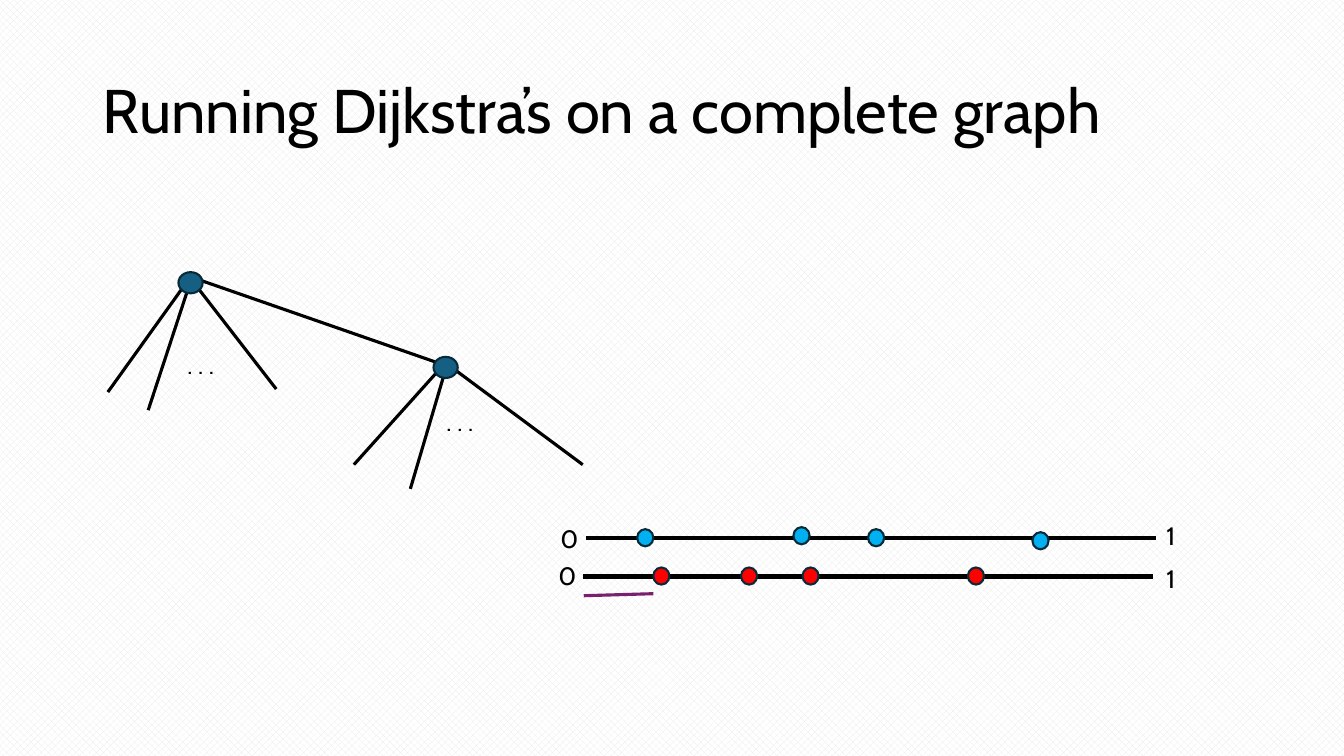
"""Build the slide on running Dijkstra's algorithm on a complete graph."""
from lxml.etree import SubElement
from pptx import Presentation
from pptx.dml.color import RGBColor
from pptx.enum.dml import MSO_PATTERN
from pptx.enum.shapes import MSO_CONNECTOR, MSO_SHAPE
from pptx.enum.text import MSO_ANCHOR, MSO_AUTO_SIZE, PP_ALIGN
from pptx.oxml.ns import qn
from pptx.util import Inches, Pt

BLACK = RGBColor(0x00, 0x00, 0x00)
WHITE = RGBColor(0xFF, 0xFF, 0xFF)
PALE_GREY = RGBColor(0xE8, 0xE8, 0xE8)
TEAL = RGBColor(0x15, 0x60, 0x82)
DARK_TEAL = RGBColor(0x09, 0x2A, 0x39)
RED = RGBColor(0xFF, 0x00, 0x00)
SKY = RGBColor(0x00, 0xB0, 0xF0)
PURPLE = RGBColor(0x78, 0x20, 0x6E)

LABEL_FRAME = {"word_wrap": True, "margin_right": 0,
               "auto_size": MSO_AUTO_SIZE.SHAPE_TO_FIT_TEXT}
TITLE_FRAME = {"word_wrap": True, "vertical_anchor": MSO_ANCHOR.MIDDLE}

EDGES = [
    ((1.88, 2.76), (1.07, 3.89)),
    ((1.9, 2.76), (1.47, 4.07)),
    ((1.88, 2.75), (2.74, 3.86)),
    ((1.9, 2.75), (4.43, 3.63)),
    ((4.46, 3.63), (5.78, 4.61)),
    ((4.39, 3.63), (3.51, 4.61)),
    ((4.43, 3.63), (4.07, 4.85)),
]
VERTICES = [(1.77, 2.7), (4.3, 3.54)]
ELLIPSES = [(1.76, 3.42), (4.33, 3.98)]
RED_WEIGHTS = [(6.48, 5.63), (7.35, 5.63), (7.96, 5.63), (9.6, 5.63)]
SKY_WEIGHTS = [(6.32, 5.25), (7.87, 5.23), (8.61, 5.25), (10.24, 5.28)]
AXIS_LENGTH = 5.66
AXES = [((5.78, 5.72), RED, RED_WEIGHTS), ((5.81, 5.34), SKY, SKY_WEIGHTS)]
AXIS_LABELS = [("0", 5.44, 5.51), ("0", 5.46, 5.14),
               ("1", 11.47, 5.54), ("1", 11.47, 5.11)]


def apply_format(target, values):
    """Set every attribute of target that values names."""
    for name, value in values.items():
        setattr(target, name, value)


def add_text(slide, text, left, top, width, height, size, frame_format, spacing=1.0):
    """Add one left-aligned paragraph in a text box."""
    box = slide.shapes.add_textbox(*map(Inches, (left, top, width, height)))
    apply_format(box.text_frame, frame_format)
    paragraph = box.text_frame.paragraphs[0]
    paragraph.text = text
    apply_format(paragraph, {"alignment": PP_ALIGN.LEFT, "line_spacing": spacing})
    apply_format(paragraph.font, {"name": "Cabin", "size": Pt(size)})
    paragraph.font.color.rgb = BLACK


def add_line(slide, start, end, width=2.25, color=BLACK):
    """Add a straight line without a shadow."""
    line = slide.shapes.add_connector(
        MSO_CONNECTOR.STRAIGHT, *map(Inches, (*start, *end)))
    line.line.width = Pt(width)
    line.line.color.rgb = color
    SubElement(line._element.spPr, qn("a:effectLst"))


def add_dot(slide, left, top, width, height, color):
    """Add a filled ellipse with a dark outline."""
    dot = slide.shapes.add_shape(
        MSO_SHAPE.OVAL, *map(Inches, (left, top, width, height)))
    dot.shadow.inherit = False
    dot.fill.solid()
    dot.fill.fore_color.rgb = color
    dot.line.width = Pt(1.5)
    dot.line.color.rgb = DARK_TEAL


def add_tree(slide):
    """Draw the two visited vertices with their edges."""
    for start, end in EDGES:
        add_line(slide, start, end)
    for left, top in VERTICES:
        add_dot(slide, left, top, 0.24, 0.21, TEAL)
    for left, top in ELLIPSES:
        add_text(slide, ". . .", left, top, 0.58, 0.4, 18, LABEL_FRAME)


def add_weight_axes(slide):
    """Draw the unit intervals with the edge weights on them."""
    for (left, height), color, weights in AXES:
        add_line(slide, (left, height), (left + AXIS_LENGTH, height), 3)
        for weight_left, weight_top in weights:
            add_dot(slide, weight_left, weight_top, 0.16, 0.17, color)
    for label, left, top in AXIS_LABELS:
        add_text(slide, label, left, top, 0.17, 0.4, 18, LABEL_FRAME)
    add_line(slide, (5.79, 5.91), (6.48, 5.89), color=PURPLE)


def set_background(slide):
    """Give the slide its pale patterned background."""
    fill = slide.background.fill
    fill.patterned()
    fill.pattern = MSO_PATTERN.PERCENT_50
    fill.fore_color.rgb = PALE_GREY
    fill.back_color.rgb = WHITE


def main():
    """Build and save the slide."""
    presentation = Presentation()
    apply_format(presentation, {"slide_width": Inches(13.33),
                                "slide_height": Inches(7.5)})
    slide = presentation.slides.add_slide(presentation.slide_layouts[6])
    set_background(slide)
    add_text(slide, "Running Dijkstra’s on a complete graph",
             0.92, 0.4, 11.5, 1.45, 44, TITLE_FRAME, 0.9)
    add_tree(slide)
    add_weight_axes(slide)
    presentation.save("out.pptx")


if __name__ == "__main__":
    main()
